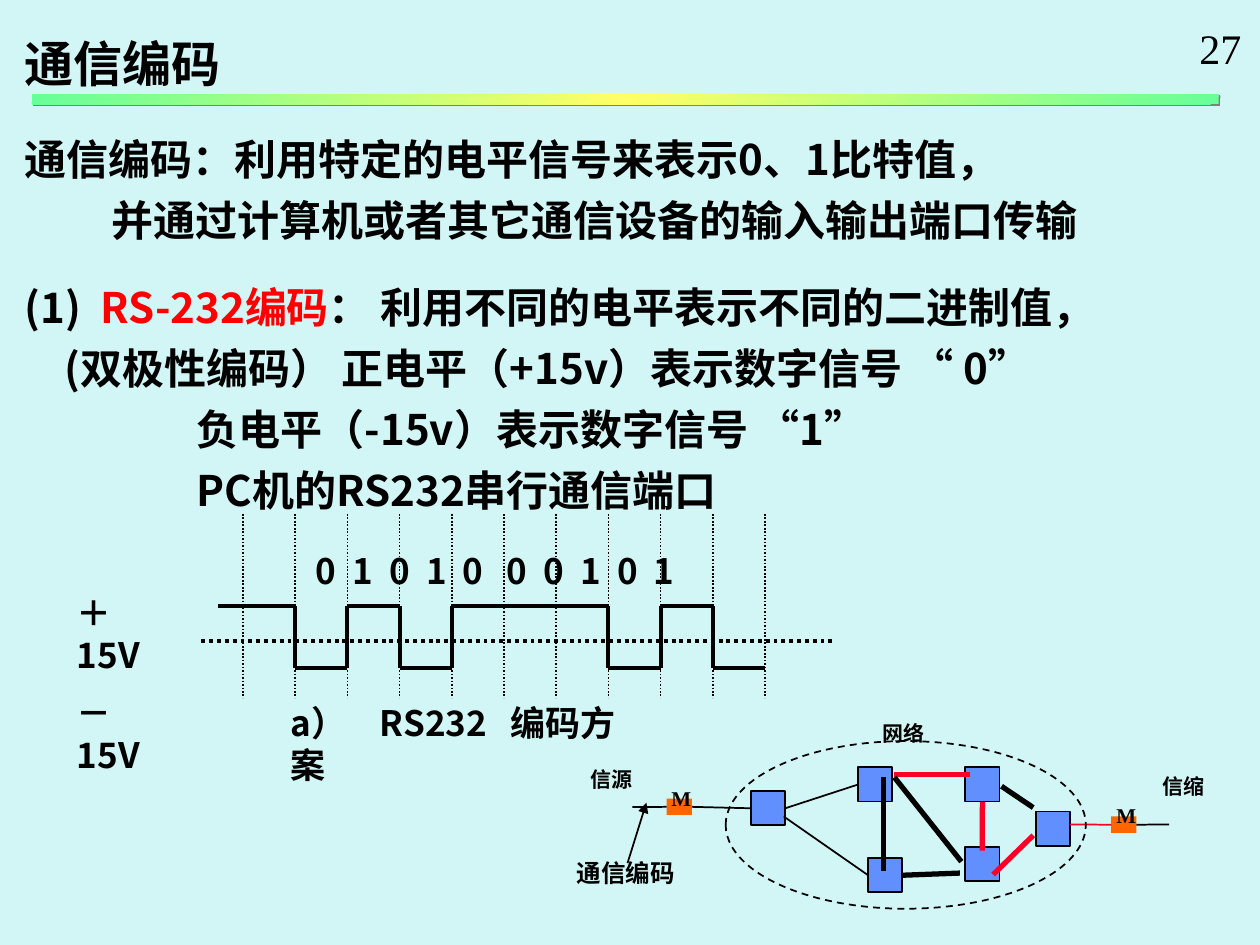
from lxml import etree
from pptx import Presentation
from pptx.dml.color import RGBColor
from pptx.enum.dml import MSO_LINE_DASH_STYLE as Dash
from pptx.enum.shapes import MSO_CONNECTOR as Connector, MSO_SHAPE as Shape
from pptx.enum.text import PP_ALIGN as Align
from pptx.oxml import parse_xml
from pptx.oxml.ns import nsdecls, qn
from pptx.util import Cm, Pt

SANS, SERIF = "Noto Sans CJK SC", "Times New Roman"
BLACK, RED, BLUE, ORANGE = "000000", "FC0128", "618FFD", "FF6600"
TOP, LEFT, BOTTOM, RIGHT = range(4)


def color(value):
    return RGBColor.from_string(value)


def add_para(frame, spans, first=False, size=20, font=SANS, bold=True, align=None,
             before=0, after=0, indent=0, tabs=()):
    """Add a paragraph; spans is a text or a list of (text, colour) pairs."""
    para = frame.paragraphs[0] if first else frame.add_paragraph()
    para.alignment = align
    para.line_spacing = Pt(size * 1.2)
    para.space_before, para.space_after = Pt(before), Pt(after)
    props = para._p.get_or_add_pPr()
    if indent:
        props.set("marL", str(Cm(indent)))
        props.set("indent", "0")
    if tabs:
        stops = etree.SubElement(props, qn("a:tabLst"))
        for stop in tabs:
            etree.SubElement(stops, qn("a:tab"), pos=str(Cm(stop)), algn="l")
    for text, tint in [(spans, BLACK)] if isinstance(spans, str) else spans:
        span = para.add_run()
        span.text = text
        span.font.size, span.font.bold = Pt(size), bold
        span.font.color.rgb = color(tint)
        span.font.name = font
        etree.SubElement(span.font._element, qn("a:ea"), typeface=SANS)


def add_box(page, x, y, w, h, wrap=True, left=0.25, right=0.25):
    box = page.shapes.add_textbox(Cm(x), Cm(y), Cm(w), Cm(h))
    frame = box.text_frame
    frame.word_wrap = wrap
    frame.margin_left, frame.margin_right = Cm(left), Cm(right)
    return frame


def add_label(page, text, x, y, w, h=0.76, **style):
    frame = add_box(page, x, y, w, h, wrap=False)
    add_para(frame, text, first=True, **{"size": 12, "font": SERIF, **style})


def add_block(page, x, y, w, h, kind=Shape.RECTANGLE, fill=None, line=None, dash=None):
    block = page.shapes.add_shape(kind, Cm(x), Cm(y), Cm(w), Cm(h))
    block.shadow.inherit = False
    if fill:
        block.fill.solid()
        block.fill.fore_color.rgb = color(fill)
    else:
        block.fill.background()
    if line:
        block.line.color.rgb = color(line)
        block.line.width = Pt(1)
        block.line.dash_style = dash
    else:
        block.line.fill.background()
    return block


def add_line(page, x1, y1, x2, y2, tint=BLACK, width=1, dash=None, arrow=False,
             begin=None, end=None):
    """Draw a straight line; begin and end are (shape, side) joints."""
    line = page.shapes.add_connector(Connector.STRAIGHT, Cm(x1), Cm(y1), Cm(x2), Cm(y2))
    line.line.color.rgb = color(tint)
    line.line.width = Pt(width)
    line.line.dash_style = dash
    if arrow:
        etree.SubElement(line.line._get_or_add_ln(), qn("a:tailEnd"), type="triangle")
    etree.SubElement(line._element.spPr, qn("a:effectLst"))
    if begin:
        line.begin_connect(*begin)
    if end:
        line.end_connect(*end)


def add_title_bar(page):
    bar = add_block(page, 0.64, 1.9, 23.93, 0.2, fill="66FF99")
    stops = "".join(f'<a:gs pos="{pos}"><a:srgbClr val="{tint}"/></a:gs>' for pos, tint in
                    ((0, "66FF99"), (50000, "FFFF66"), (100000, "66FF99")))
    props = bar._element.spPr
    props.replace(props.find(qn("a:solidFill")), parse_xml(
        f'<a:gradFill {nsdecls("a")} rotWithShape="1"><a:gsLst>{stops}</a:gsLst>'
        '<a:lin ang="2700000" scaled="1"/></a:gradFill>'))
    props.replace(props.find(qn("a:effectLst")), parse_xml(
        f'<a:effectLst {nsdecls("a")}><a:outerShdw dist="{Pt(1.4)}" dir="2700000" '
        'algn="ctr" rotWithShape="0"><a:srgbClr val="808080"/></a:outerShdw></a:effectLst>'))


def add_body(page):
    frame = add_box(page, 0.25, 0.56, 24.56, 9.96)
    add_para(frame, "通信编码", first=True, size=28, after=17.5)
    rs232 = [("(1)\t", BLACK), ("RS-232编码", "FF0000"),
             ("： 利用不同的电平表示不同的二进制值，", BLACK)]
    lines = [
        ("通信编码：利用特定的电平信号来表示0、1比特值，", {}),
        ("并通过计算机或者其它通信设备的输入输出端口传输", {"indent": 1.75, "after": 15}),
        (rs232, {"tabs": [1.52]}),
        ("(双极性编码） 正电平（+15v）表示数字信号 “ 0”", {"indent": 0.8}),
        ("负电平（-15v）表示数字信号 “1”", {"indent": 3.47}),
        ("PC机的RS232串行通信端口", {"indent": 3.47, "after": 18}),
    ]
    for spans, style in lines:
        add_para(frame, spans, size=24, before=6, **style)


def add_waveform(page):
    start, step, high, low = 4.9, 1.052, 12.22, 13.46
    columns = [start + step * i for i in range(11)]

    # Signal levels and the edges between them
    levels = [high, low, high, low, high, high, high, low, high, low]
    for i, level in enumerate(levels):
        left = columns[i] if i else 4.39
        add_line(page, left, level, columns[i + 1], level, width=2.25)
        if i and level != levels[i - 1]:
            add_line(page, left, high, left, low, width=2.25)

    # Bit values, with a wider gap in the middle
    frame = add_box(page, 5.72, 10.95, 8.38, 1.09, left=0.65)
    stops = [0.74 * i + (0.15 if i > 4 else 0) for i in range(1, 10)]
    add_para(frame, "\t".join("0101000101"), first=True, tabs=stops)

    # Caption
    frame = add_box(page, 5.61, 14.02, 7.72, 1.09, right=0.8)
    add_para(frame, "a）\tRS232\t编码方案", first=True, tabs=[1.8, 4.43])

    # Bit borders and zero level
    for x in columns:
        add_line(page, x, 10.36, x, 14.07, dash=Dash.ROUND_DOT)
    frame = add_box(page, 1.3, 11.79, 2.64, 2.29, right=0.75)
    add_para(frame, "＋15V", first=True)
    add_para(frame, "－15V", before=9.6)
    add_line(page, 4.06, 12.93, 16.84, 12.93, width=2.25, dash=Dash.ROUND_DOT)


def add_network(page):
    # Nodes and modems
    spots = [(17.3, 15.47), (17.5, 17.3), (20.88, 16.36), (19.46, 17.07),
             (19.46, 15.47), (15.14, 15.95)]
    upper, lower, exit_node, bottom, top, entry = [
        add_block(page, x, y, 0.69, 0.69, fill=BLUE, line=BLACK) for x, y in spots]
    sender, receiver = [add_block(page, x, y, 0.51, 0.33, fill=ORANGE)
                        for x, y in ((13.44, 16.1), (22.4, 16.46))]

    # Thick links
    add_line(page, 17.81, 15.67, 17.81, 17.55, width=3)
    add_line(page, 18.03, 15.62, 19.56, 15.62, RED, 3)
    add_line(page, 18.16, 17.65, 19.35, 17.6, width=3, begin=(lower, RIGHT))
    add_line(page, 18.03, 15.67, 19.38, 17.37, width=3)
    add_line(page, 19.8, 17.15, 19.8, 16.15, RED, 3, end=(top, BOTTOM))
    add_line(page, 20.02, 17.63, 20.83, 16.84, RED, 3)
    add_line(page, 20.19, 15.85, 20.83, 16.28, width=3)

    # Thin links
    add_line(page, 13.44, 16.27, 12.75, 16.27, begin=(sender, LEFT))
    add_line(page, 15.14, 16.29, 13.95, 16.27, begin=(entry, LEFT), end=(sender, RIGHT))
    add_line(page, 21.56, 16.62, 22.4, 16.62, RED, end=(receiver, LEFT))
    add_line(page, 15.83, 16.29, 17.3, 15.81, begin=(entry, RIGHT), end=(upper, LEFT))
    add_line(page, 15.8, 16.46, 17.5, 17.65, end=(lower, LEFT))
    add_line(page, 23.57, 16.62, 22.91, 16.62, end=(receiver, RIGHT))

    # Network border and labels
    add_block(page, 14.63, 14.94, 7.26, 3.38, Shape.OVAL, line=BLACK, dash=Dash.DASH)
    for text, x, y, w in (("信源", 11.53, 15.32, 1.6), ("信缩", 23.19, 15.47, 1.35),
                          ("M", 13.28, 15.72, 0.91), ("M", 22.25, 16.05, 0.91),
                          ("网络", 17.53, 14.4, 1.35)):
        add_label(page, text, x, y, w, align=Align.CENTER)
    add_line(page, 12.65, 17.4, 13.03, 16.18, arrow=True)
    add_label(page, "通信编码", 11.38, 17.17, 2.49, 0.86, size=14)


def main():
    deck = Presentation()
    deck.slide_width, deck.slide_height = Cm(25.4), Cm(19.05)
    page = deck.slides.add_slide(deck.slide_layouts[6])
    page.background.fill.solid()
    page.background.fill.fore_color.rgb = color("D2F6F5")
    add_title_bar(page)
    add_waveform(page)
    add_label(page, "27", 23.93, 0.33, 1.35, 1.27, size=24, bold=False)
    add_body(page)
    add_network(page)
    deck.save("out.pptx")


if __name__ == "__main__":
    main()
